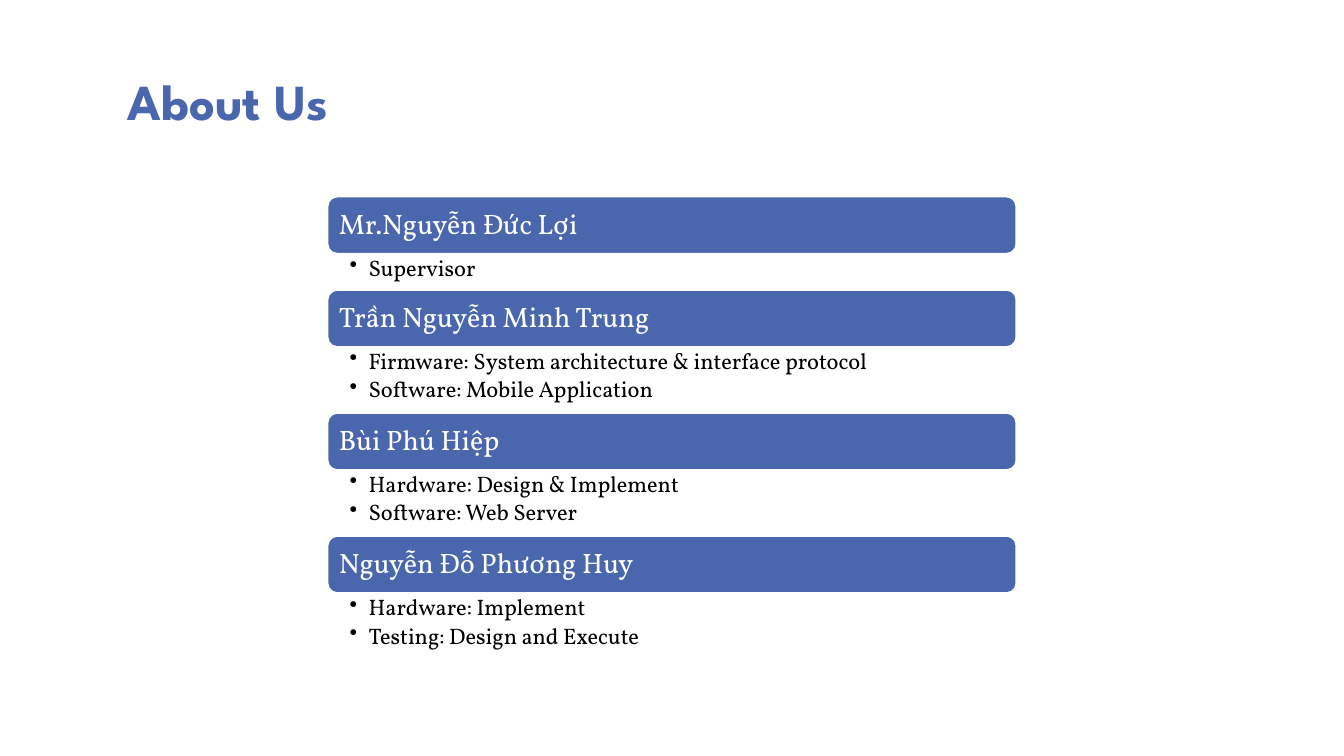
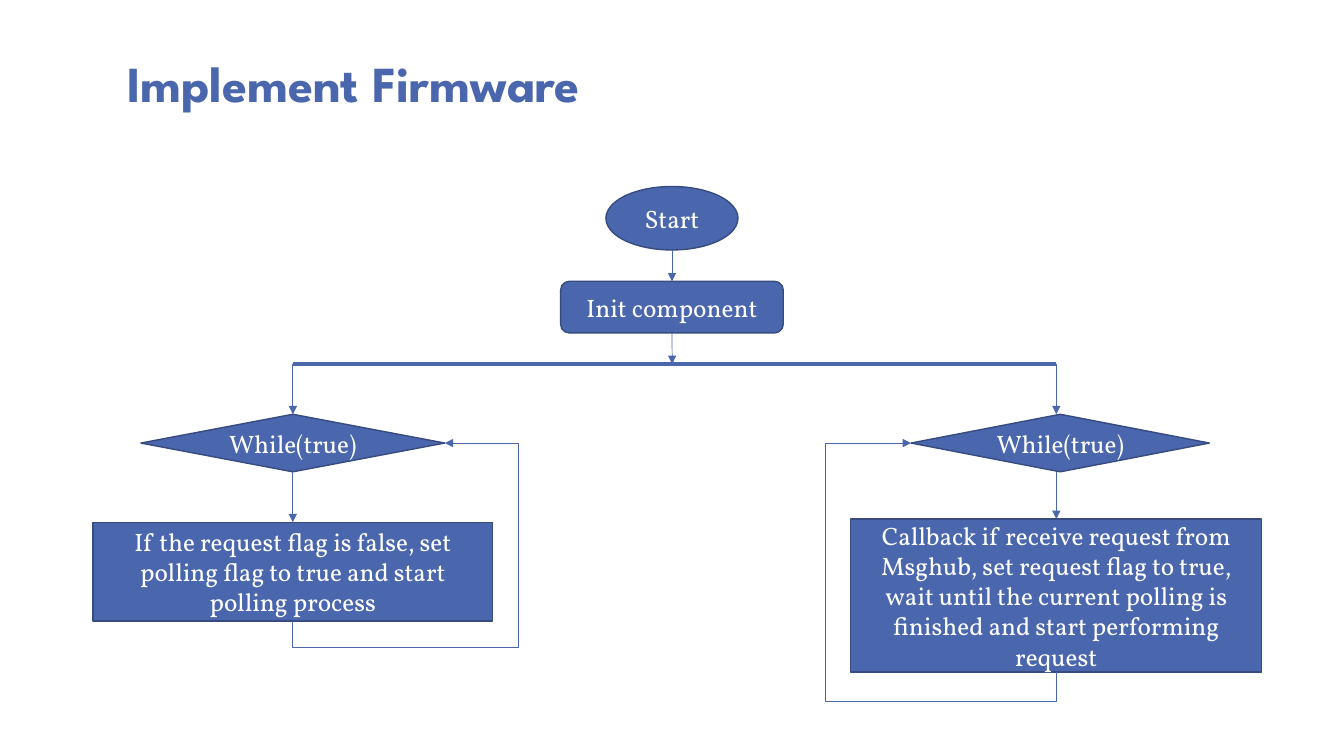
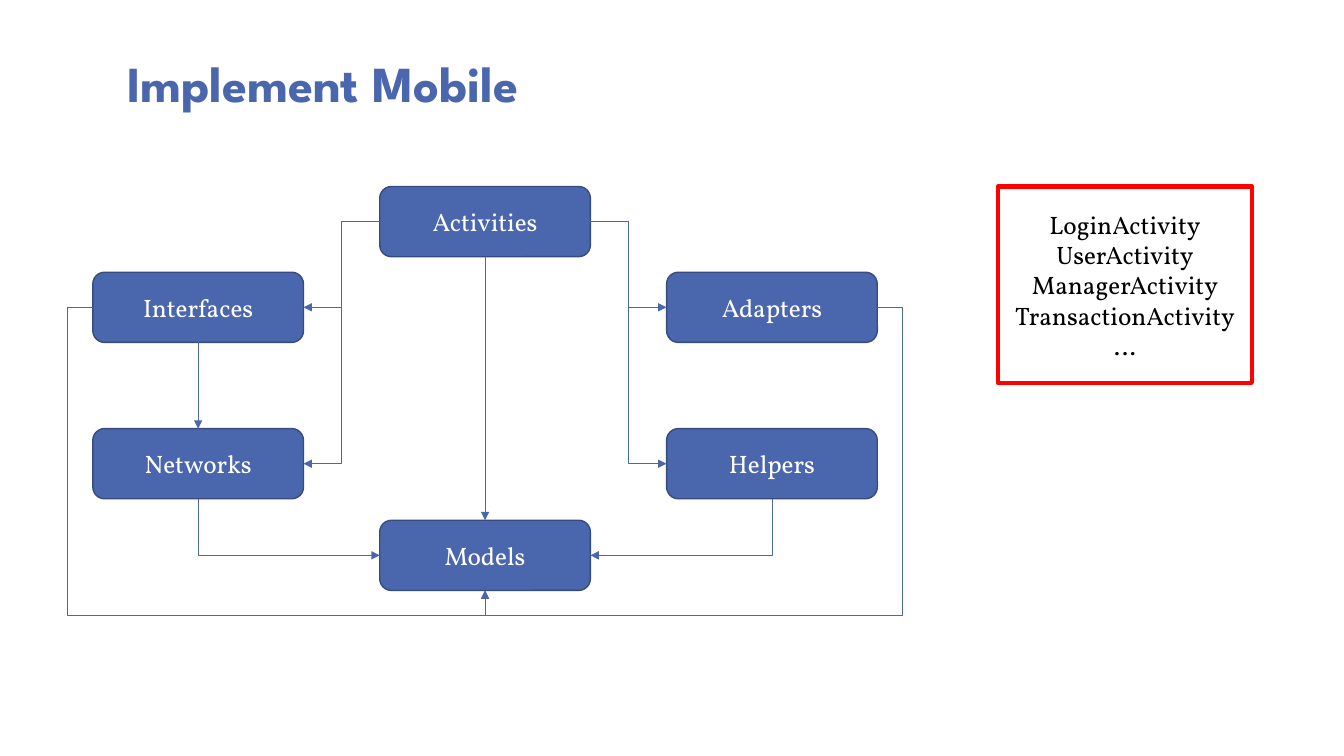
from lxml import etree
from pptx import Presentation
from pptx.dml.color import RGBColor
from pptx.enum import shapes, text
from pptx.oxml import ns
from pptx.util import Cm, Pt

COLORS = {"blue": "4A66AC", "edge": "374B7F", "white": "FFFFFF",
          "black": "000000", "red": "FF0000"}
TITLE_FONT, BODY_FONT = "League Spartan", "Vollkorn"
TOP, LEFT, BOTTOM, RIGHT = range(4)
KINDS = shapes.MSO_SHAPE

# Content (positions in cm: left, top, width, height)
TEAM = [
    ("Mr.Nguyễn Đức Lợi", ["Supervisor"]),
    ("Trần Nguyễn Minh Trung", ["Firmware: System architecture & interface protocol",
                                "Software: Mobile Application"]),
    ("Bùi Phú Hiệp", ["Hardware: Design & Implement", "Software: Web Server"]),
    ("Nguyễn Đỗ Phương Huy", ["Hardware: Implement", "Testing: Design and Execute"]),
]
FIRMWARE_STEPS = {
    "start": (KINDS.OVAL, (15.27, 4.7, 3.33, 1.6), "Start"),
    "init": (KINDS.ROUNDED_RECTANGLE, (14.13, 7.09, 5.61, 1.3), "Init component"),
    "poll loop": (KINDS.DIAMOND, (3.55, 10.44, 7.66, 1.45), "While(true)"),
    "poll": (KINDS.RECTANGLE, (2.34, 13.16, 10.08, 2.49),
             "If the request flag is false, set polling flag to true and start "
             "polling process"),
    "request loop": (KINDS.DIAMOND, (22.96, 10.44, 7.52, 1.45), "While(true)"),
    "request": (KINDS.RECTANGLE, (21.44, 13.08, 10.36, 3.86),
                "Callback if receive request from Msghub, set request flag to true, "
                "wait until the current polling is finished and start performing "
                "request"),
}
FORK_LEFT, FORK_MIDDLE, FORK_RIGHT, FORK_Y = 7.38, 16.94, 26.62, 9.17
REQUEST_LOOP_BOTTOM = 11.89

MOBILE_PARTS = {  # name: (column, top)
    "Activities": (1, 4.7), "Adapters": (2, 6.86), "Interfaces": (0, 6.86),
    "Networks": (0, 10.8), "Models": (1, 13.11), "Helpers": (2, 10.8),
}
PART_LEFT, PART_PITCH, PART_WIDTH, PART_HEIGHT = 2.34, 7.23, 5.31, 1.77
DETOUR = 0.63
ACTIVITIES = ["LoginActivity", "UserActivity", "ManagerActivity",
              "TransactionActivity", "…"]


# Shared styling
def rgb(name):
    return RGBColor.from_string(COLORS[name])


def style(paragraph, size, color, font=BODY_FONT, bold=False):
    for run in paragraph.runs:
        run.font.size, run.font.name, run.font.bold = Pt(size), font, bold
        run.font.color.rgb = rgb(color)


def new_slide(prs, title, top=1.47, lift=1.47):
    """Add a titled slide; lift raises the title from its box's bottom."""
    slide = prs.slides.add_slide(prs.slide_layouts[5])
    heading = slide.shapes.title
    heading.left, heading.top, heading.width, heading.height = map(
        Cm, (2.95, top, 24.13, 2.97))
    frame = heading.text_frame
    frame.text = title
    frame.vertical_anchor = text.MSO_ANCHOR.BOTTOM
    frame.auto_size = text.MSO_AUTO_SIZE.NONE
    frame.margin_bottom = Cm(0.13 + lift)
    paragraph = frame.paragraphs[0]
    paragraph.alignment, paragraph.line_spacing = text.PP_ALIGN.LEFT, 0.8
    style(paragraph, 36, "blue", TITLE_FONT, True)
    return slide


def add_box(slide, kind, place, words, fill="blue", line="edge", width=1,
            color="white", size=18, align=text.PP_ALIGN.CENTER):
    box = slide.shapes.add_shape(kind, *map(Cm, place))
    box.shadow.inherit = False
    if fill:
        box.fill.solid()
        box.fill.fore_color.rgb = rgb(fill)
    else:
        box.fill.background()
    box.line.color.rgb, box.line.width = rgb(line), Pt(width)
    frame = box.text_frame
    frame.text = words
    frame.vertical_anchor = text.MSO_ANCHOR.MIDDLE
    for paragraph in frame.paragraphs:
        paragraph.alignment = align
        style(paragraph, size, color)
    return box


def add_link(slide, begin, end, arrow="tailEnd", width=0.5,
             kind=shapes.MSO_CONNECTOR.STRAIGHT):
    """Each end is a (shape, side) pair or an (x, y) point in cm."""
    glued = [not isinstance(stop[0], (int, float)) for stop in (begin, end)]
    points = [(0, 0) if joined else stop for joined, stop in zip(glued, (begin, end))]
    link = slide.shapes.add_connector(kind, *map(Cm, points[0] + points[1]))
    if glued[0]:
        link.begin_connect(*begin)
    if glued[1]:
        link.end_connect(*end)
    link.line.color.rgb, link.line.width = rgb("blue"), Pt(width)
    properties = link.element.spPr
    if arrow:
        outline = properties.find(ns.qn("a:ln"))
        etree.SubElement(outline, ns.qn("a:" + arrow), type="triangle")
    etree.SubElement(properties, ns.qn("a:effectLst"))
    return link


def add_elbow(slide, begin, end, segments=3, bend=(), arrow="tailEnd"):
    """Leaves begin sideways; bend gives the x and y (cm) of the far corner."""
    link = add_link(slide, begin, end, arrow, kind=shapes.MSO_CONNECTOR.ELBOW)
    geometry = link.element.spPr.find(ns.qn("a:prstGeom"))
    geometry.set("prst", f"bentConnector{segments}")
    if bend:
        x, y = map(Cm, bend)
        ratios = ((x - link.begin_x) / (link.end_x - link.begin_x),
                  (y - link.begin_y) / (link.end_y - link.begin_y))
        adjustments = geometry.find(ns.qn("a:avLst"))
        if adjustments is None:
            adjustments = etree.SubElement(geometry, ns.qn("a:avLst"))
        for number, ratio in enumerate(ratios, 1):
            etree.SubElement(adjustments, ns.qn("a:gd"), name=f"adj{number}",
                             fmla=f"val {round(ratio * 100000)}")
    return link


# Slides
def about_us(prs):
    slide = new_slide(prs, "About Us", top=0.43, lift=0)
    left, top, width, bar_height = 8.26, 4.96, 17.35, 1.43
    for name, duties in TEAM:
        bar = add_box(slide, KINDS.ROUNDED_RECTANGLE, (left, top, width, bar_height),
                      name, line="white", size=20, align=text.PP_ALIGN.LEFT)
        bar.text_frame.margin_left = Cm(0.21)
        bar.text_frame.paragraphs[0].line_spacing = 0.9
        top += bar_height

        height = 0.17 + 0.75 * len(duties)
        duty_list = slide.shapes.add_textbox(*map(Cm, (left, top, width, height)))
        frame = duty_list.text_frame
        frame.word_wrap = True
        frame.margin_left, frame.margin_right = Cm(0.55), Cm(0.41)
        frame.margin_top = frame.margin_bottom = Cm(0.08)
        frame.text = "\n".join(duties)
        for paragraph in frame.paragraphs:
            layout = paragraph._p.get_or_add_pPr()
            layout.set("marL", str(Cm(0.48)))
            layout.set("indent", str(-Cm(0.48)))
            etree.SubElement(layout, ns.qn("a:buChar"), char="•")
            paragraph.line_spacing, paragraph.space_after = 0.9, Pt(3.2)
            style(paragraph, 16, "black")
        top += height


def implement_firmware(prs):
    slide = new_slide(prs, "Implement Firmware")
    step = {key: add_box(slide, *parts) for key, parts in FIRMWARE_STEPS.items()}

    # Start and fork
    add_link(slide, (step["start"], BOTTOM), (step["init"], TOP))
    add_link(slide, (step["init"], BOTTOM), (FORK_MIDDLE, FORK_Y))
    add_link(slide, (FORK_LEFT, FORK_Y), (FORK_RIGHT, FORK_Y), arrow=None, width=3)

    # Polling branch
    add_link(slide, (FORK_LEFT, FORK_Y), (step["poll loop"], TOP))
    add_link(slide, (step["poll loop"], BOTTOM), (step["poll"], TOP))
    add_elbow(slide, (step["poll loop"], RIGHT), (step["poll"], BOTTOM), 4,
              (13.06, 16.3), "headEnd")

    # Request branch
    add_link(slide, (FORK_RIGHT, FORK_Y), (FORK_RIGHT, FIRMWARE_STEPS["request loop"][1][1]))
    add_link(slide, (FORK_RIGHT, REQUEST_LOOP_BOTTOM), (step["request"], TOP))
    add_elbow(slide, (step["request loop"], LEFT), (step["request"], BOTTOM), 4,
              (20.8, 17.68), "headEnd")


def implement_mobile(prs):
    slide = new_slide(prs, "Implement Mobile")
    part = {}
    for name, (column, top) in MOBILE_PARTS.items():
        place = (PART_LEFT + column * PART_PITCH, top, PART_WIDTH, PART_HEIGHT)
        part[name] = add_box(slide, KINDS.ROUNDED_RECTANGLE, place, name)
    models = part["Models"]

    # Straight dependencies
    for source, target in (("Activities", "Models"), ("Interfaces", "Networks")):
        add_link(slide, (part[source], BOTTOM), (part[target], TOP))

    # Each side: from Activities to both parts, and from these to Models
    right_edge = PART_LEFT + 2 * PART_PITCH + PART_WIDTH
    detour_y = MOBILE_PARTS["Models"][1] + PART_HEIGHT + DETOUR
    sides = [("Interfaces", "Networks", LEFT, RIGHT, PART_LEFT - DETOUR),
             ("Adapters", "Helpers", RIGHT, LEFT, right_edge + DETOUR)]
    for upper, lower, outer, inner, detour_x in sides:
        for name in (upper, lower):
            add_elbow(slide, (part["Activities"], outer), (part[name], inner))
        add_elbow(slide, (models, outer), (part[lower], BOTTOM), 2, arrow="headEnd")
        add_elbow(slide, (part[upper], outer), (models, BOTTOM), 4, (detour_x, detour_y))

    add_box(slide, KINDS.RECTANGLE, (25.15, 4.7, 6.4, 4.95), "\n".join(ACTIVITIES),
            fill=None, line="red", width=3, color="black")


def main():
    prs = Presentation()
    prs.slide_width, prs.slide_height = Cm(33.87), Cm(19.05)
    about_us(prs)
    implement_firmware(prs)
    implement_mobile(prs)
    prs.save("out.pptx")


if __name__ == "__main__":
    main()
